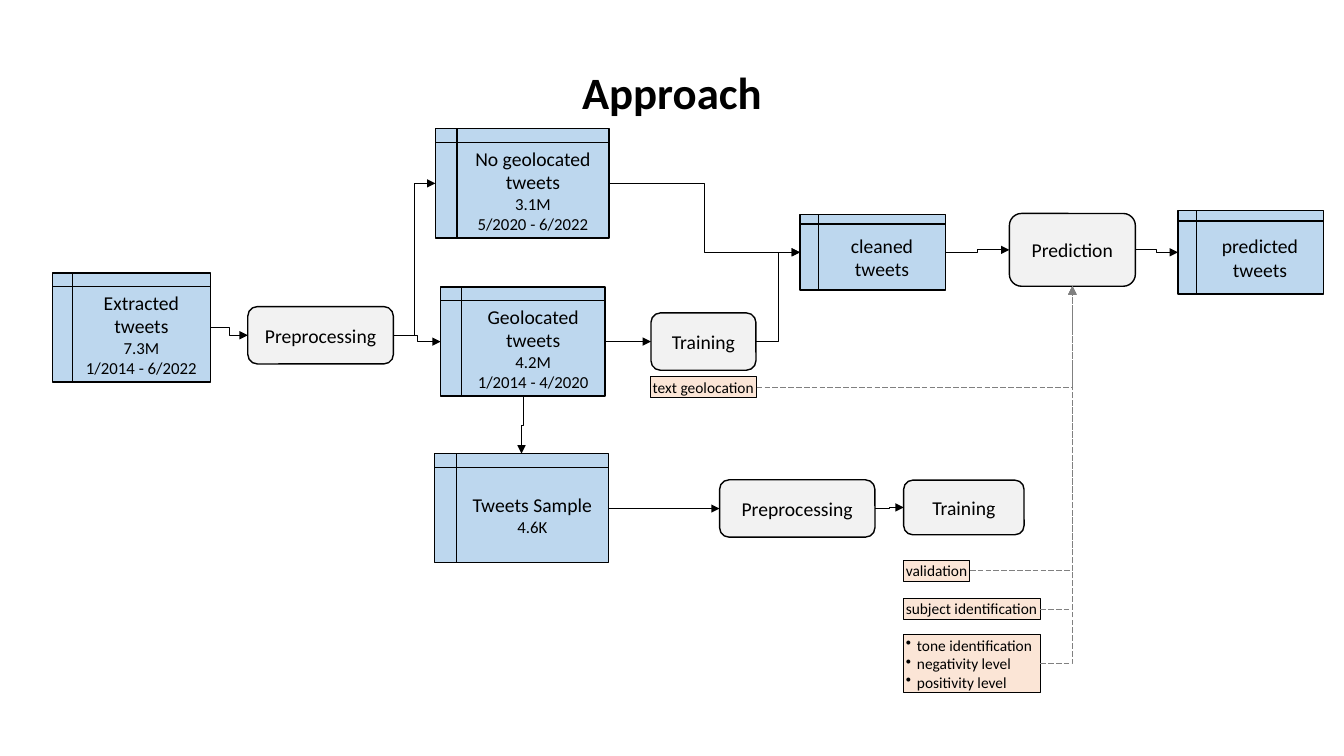
from lxml import etree
from pptx import Presentation
from pptx.dml.color import RGBColor
from pptx.enum.dml import MSO_LINE
from pptx.enum.shapes import MSO_CONNECTOR, MSO_SHAPE
from pptx.enum.text import MSO_ANCHOR, PP_ALIGN
from pptx.oxml.ns import qn
from pptx.util import Pt

STORAGE = MSO_SHAPE.FLOWCHART_INTERNAL_STORAGE
ROUNDED = MSO_SHAPE.ROUNDED_RECTANGLE
RECT = MSO_SHAPE.RECTANGLE
ELBOW = MSO_CONNECTOR.ELBOW
DASH = MSO_LINE.LONG_DASH
MIDDLE, TOP_ANCHOR = MSO_ANCHOR.MIDDLE, MSO_ANCHOR.TOP
CENTER, LEFT_ALIGN = PP_ALIGN.CENTER, PP_ALIGN.LEFT
TOP, LEFT, BOTTOM, RIGHT = range(4)

BLACK, GREY = "000000", "808080"
BLUE, PALE, PEACH = "BDD7EE", "F2F2F2", "FBE5D6"

# name: left, top, width, height, lines
DATA = {
    "extracted": (37.5, 195, 113, 78, ["Extracted tweets", "7.3M", "1/2014 - 6/2022"]),
    "no_geo": (311, 92, 124, 78, ["No geolocated tweets", "3.1M", "5/2020 - 6/2022"]),
    "geo": (314.75, 205, 117.5, 78, ["Geolocated tweets", "4.2M", "1/2014 - 4/2020"]),
    "sample": (310.5, 324, 124, 78, ["Tweets Sample", "4.6K"]),
    "cleaned": (571.5, 153.25, 104, 54, ["cleaned tweets"]),
    "predicted": (841.5, 150.5, 104, 59.5, ["predicted tweets"]),
}
STEPS = {
    "clean_all": (177, 219, 104, 41, ["Preprocessing"]),
    "train_geo": (465, 223.5, 75, 41, ["Training"]),
    "prediction": (721, 152.5, 90, 52, ["Prediction"]),
    "clean_sample": (514, 342.75, 111, 41, ["Preprocessing"]),
    "train_sample": (645.5, 343, 86, 39, ["Training"]),
}
TASKS = {
    "geolocation": (464.75, 269.25, 75.75, 15, ["text geolocation"]),
    "validation": (645.5, 400.25, 47.25, 15, ["validation"]),
    "subject": (645.5, 427.5, 97.5, 15, ["subject identification"]),
    "tone": (645.5, 453.5, 97.5, 41.5,
             ["tone identification", "negativity level", "positivity level"]),
}
FLOWS = [
    ("extracted", "clean_all"), ("clean_all", "no_geo"), ("clean_all", "geo"),
    ("geo", "train_geo"), ("no_geo", "cleaned"), ("train_geo", "cleaned"),
    ("cleaned", "prediction"), ("prediction", "predicted"),
    ("sample", "clean_sample"), ("clean_sample", "train_sample"),
]


def rgb(color):
    return RGBColor.from_string(color)


def write(tf, lines, sizes, align=CENTER, bold=False):
    """One paragraph per line; the last size serves all further lines."""
    for i, line in enumerate(lines):
        p = tf.paragraphs[0] if i == 0 else tf.add_paragraph()
        p.alignment = align
        r = p.add_run()
        r.text = line
        look = {"name": "Calibri", "size": Pt(sizes[min(i, len(sizes) - 1)]), "bold": bold}
        for key, value in look.items():
            setattr(r.font, key, value)
        r.font.color.rgb = rgb(BLACK)


def add_bullets(tf, indent):
    for p in tf.paragraphs:
        pPr = p._p.get_or_add_pPr()
        pPr.set("marL", str(Pt(indent)))
        pPr.set("indent", str(-Pt(indent)))
        etree.SubElement(pPr, qn("a:buChar")).set("char", "•")


def add_box(slide, kind, bounds, fill, line_width):
    s = slide.shapes.add_shape(kind, *map(Pt, bounds))
    s.shadow.inherit = False
    s.fill.solid()
    s.fill.fore_color.rgb = rgb(fill)
    s.line.color.rgb = rgb(BLACK)
    s.line.width = Pt(line_width)
    s.text_frame.word_wrap = True
    return s


def add_node(slide, kind, fill, bounds, lines):
    s = add_box(slide, kind, bounds, fill, 1)
    s.text_frame.vertical_anchor = MIDDLE
    write(s.text_frame, lines, [14, 12])
    return s


def add_task(slide, bounds, lines):
    s = add_box(slide, RECT, bounds, PEACH, 0.75)
    tf = s.text_frame
    margins = {"margin_left": 1.5, "margin_right": 1, "margin_top": 0.75, "margin_bottom": 0.75}
    for key, value in margins.items():
        setattr(tf, key, Pt(value))
    tf.vertical_anchor = TOP_ANCHOR
    write(tf, lines, [11], LEFT_ALIGN)
    if len(lines) > 1:
        add_bullets(tf, 8)
    return s


def add_arrow(slide, start, start_side, end, end_side, color=BLACK):
    c = slide.shapes.add_connector(ELBOW, 0, 0, 0, 0)
    c.begin_connect(start, start_side)
    c.end_connect(end, end_side)
    c.line.color.rgb = rgb(color)
    c.line.width = Pt(0.5)
    return c


def finish_arrow(c):
    """Add the arrowhead and switch the shadow off, after any dash is set."""
    etree.SubElement(c.line._get_or_add_ln(), qn("a:tailEnd")).set("type", "triangle")
    etree.SubElement(c.element.spPr, qn("a:effectLst"))


def add_flow(slide, start, end):
    finish_arrow(add_arrow(slide, start, RIGHT, end, LEFT))


def add_task_flow(slide, task, target):
    """Dashed arrow that runs right, then up into the target."""
    c = add_arrow(slide, task, RIGHT, target, BOTTOM, GREY)
    c.element.spPr.find(qn("a:prstGeom")).set("prst", "bentConnector2")
    c.line.dash_style = DASH
    finish_arrow(c)


def add_down_flow(slide, start, end):
    """Elbow turned by 90 degrees, from a bottom side to a top side on its left."""
    c = add_arrow(slide, start, BOTTOM, end, TOP)
    across, down = c.width, c.height
    center_x, center_y = c.left + across // 2, c.top + down // 2
    xfrm = c.element.spPr.find(qn("a:xfrm"))
    xfrm.attrib.pop("flipH", None)
    xfrm.set("rot", "5400000")
    c.left, c.top = center_x - down // 2, center_y - across // 2
    c.width, c.height = down, across
    finish_arrow(c)


def add_title(slide, text):
    s = slide.shapes.add_textbox(Pt(375), Pt(42.5), Pt(210), Pt(46))
    s.text_frame.word_wrap = True
    write(s.text_frame, [text], [32], bold=True)


def main():
    prs = Presentation()
    prs.slide_width, prs.slide_height = Pt(960), Pt(540)
    slide = prs.slides.add_slide(prs.slide_layouts[6])

    add_title(slide, "Approach")
    nodes = {}
    for kind, fill, group in ((STORAGE, BLUE, DATA), (ROUNDED, PALE, STEPS)):
        for name, (*bounds, lines) in group.items():
            nodes[name] = add_node(slide, kind, fill, bounds, lines)
    for start, end in FLOWS:
        add_flow(slide, nodes[start], nodes[end])
    add_down_flow(slide, nodes["geo"], nodes["sample"])
    for *bounds, lines in TASKS.values():
        add_task_flow(slide, add_task(slide, bounds, lines), nodes["prediction"])

    prs.save("out.pptx")


if __name__ == "__main__":
    main()
